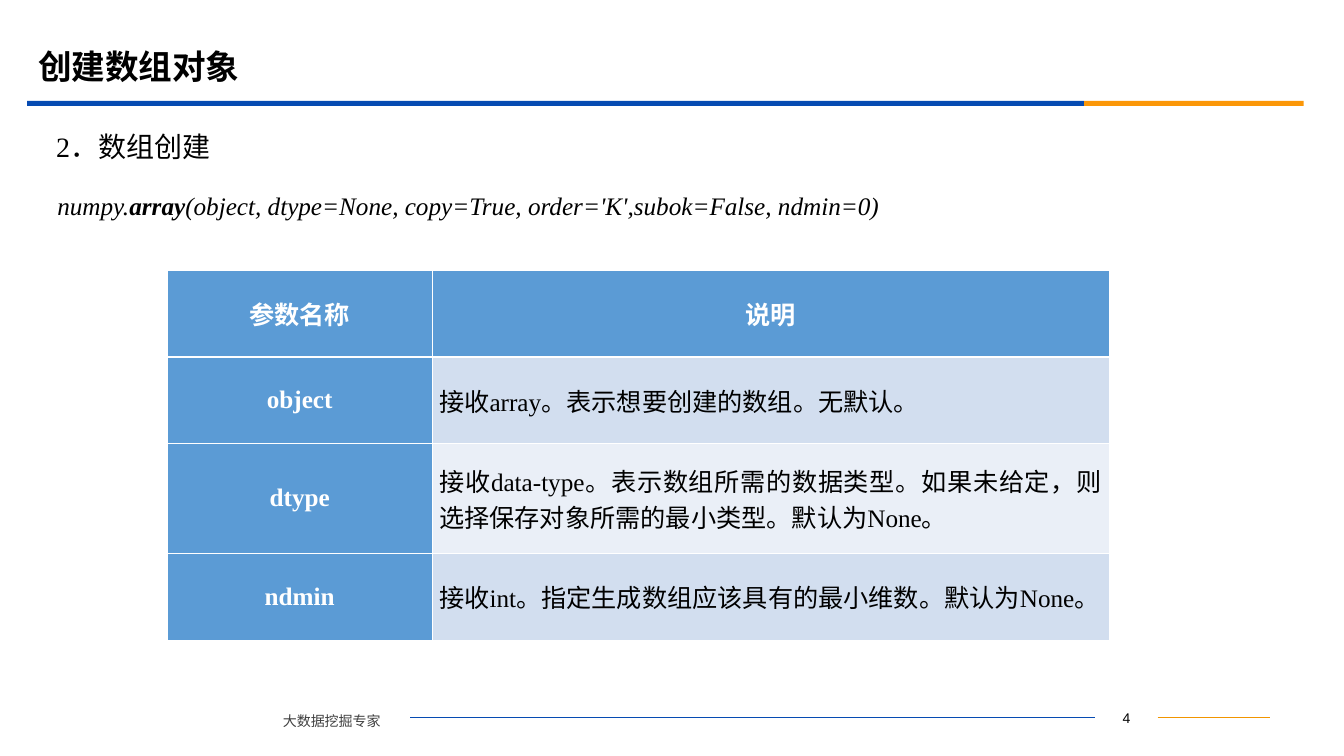
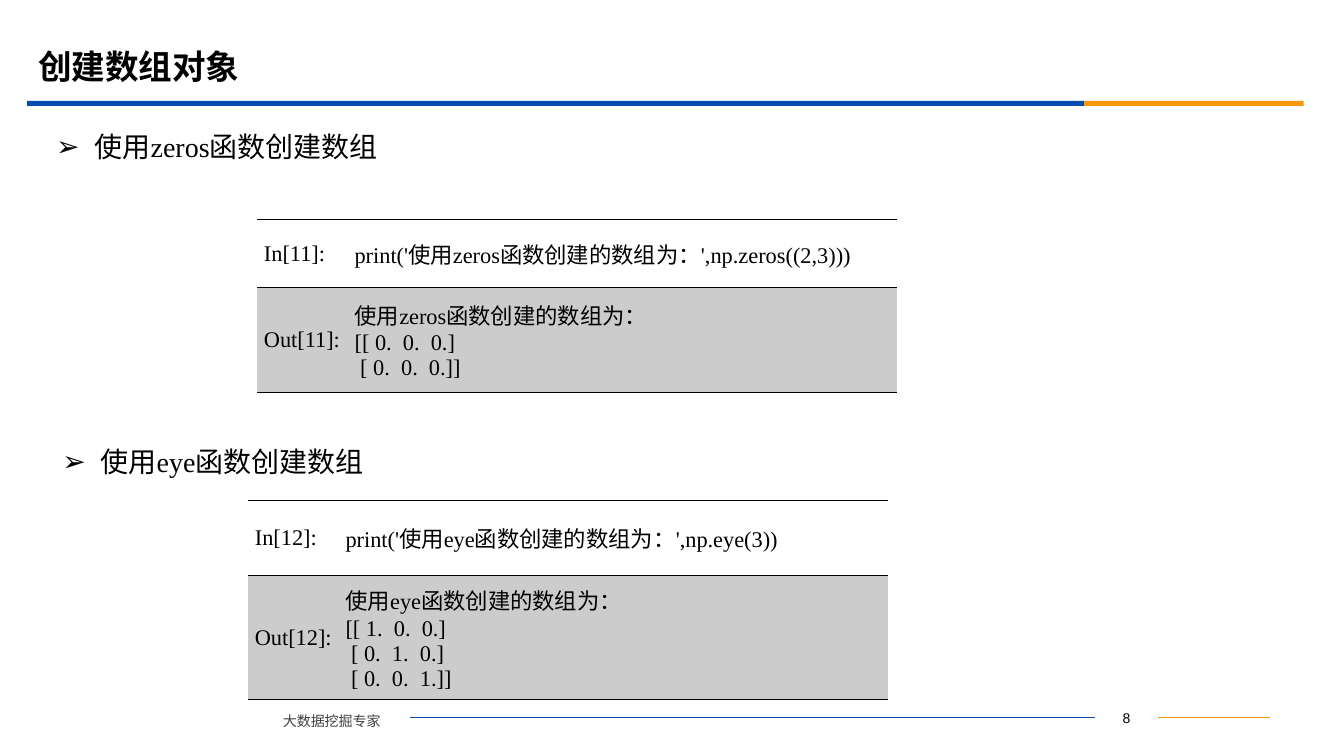
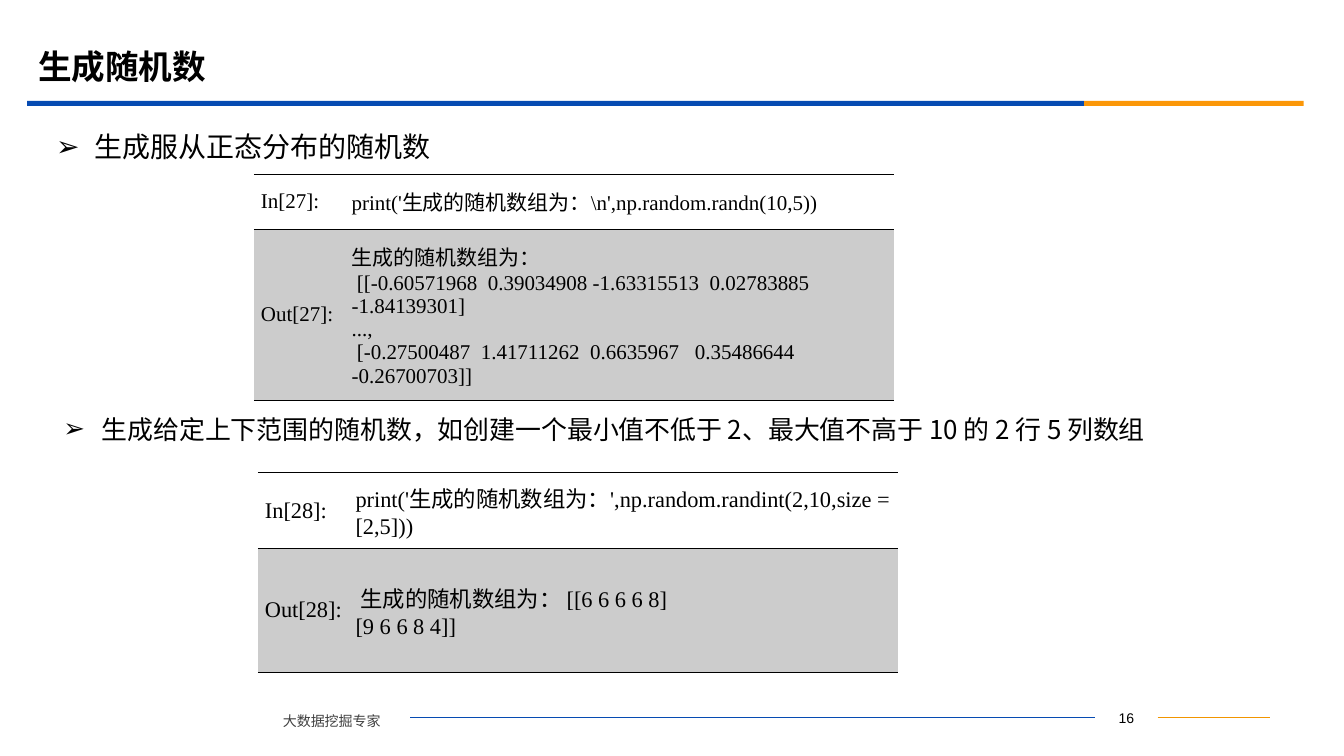
from lxml import etree
from pptx import Presentation
from pptx.dml.color import RGBColor
from pptx.enum.shapes import MSO_CONNECTOR, MSO_SHAPE
from pptx.enum.text import MSO_ANCHOR, PP_ALIGN
from pptx.oxml.ns import qn
from pptx.util import Inches, Pt

# Enum members
STRAIGHT = MSO_CONNECTOR.STRAIGHT
RECTANGLE = MSO_SHAPE.RECTANGLE
TOP, MIDDLE = MSO_ANCHOR.TOP, MSO_ANCHOR.MIDDLE
LEFT, CENTER, JUSTIFY = PP_ALIGN.LEFT, PP_ALIGN.CENTER, PP_ALIGN.JUSTIFY

# Colours
BLACK = RGBColor(0x00, 0x00, 0x00)
WHITE = RGBColor(0xFF, 0xFF, 0xFF)
DARK_GREY = RGBColor(0x40, 0x40, 0x40)
OUTPUT_GREY = RGBColor(0xCC, 0xCC, 0xCC)
BAND_BLUE = RGBColor(0x06, 0x4B, 0xB2)
BAND_ORANGE = RGBColor(0xFB, 0x97, 0x08)
LINE_ORANGE = RGBColor(0xF1, 0x95, 0x00)
HEADER_BLUE = RGBColor(0x5B, 0x9B, 0xD5)
ROW_TINTS = (RGBColor(0xD2, 0xDE, 0xEF), RGBColor(0xEA, 0xEF, 0xF7))

# Fonts
SERIF = "Times New Roman"
CJK = "Noto Sans CJK SC"
TITLE_SANS = "Montserrat"
PLAIN_SANS = "Arial"


# Text
def format_font(run, size, color=BLACK, name=SERIF, bold=False, italic=False):
    font = run.font
    font.size, font.name = Pt(size), name
    font.bold, font.italic = bold, italic
    font.color.rgb = color
    east_asian = etree.Element(qn("a:ea"), typeface=CJK)
    run._r.rPr.find(qn("a:latin")).addnext(east_asian)


def format_paragraphs(frame, align=LEFT, spacing=1.0, **font):
    for paragraph in frame.paragraphs:
        paragraph.alignment = align
        paragraph.line_spacing = spacing
        for run in paragraph.runs:
            format_font(run, **font)


def add_text(slide, box, text, anchor=MIDDLE, **style):
    label = slide.shapes.add_textbox(*map(Inches, box))
    frame = label.text_frame
    frame.word_wrap = True
    frame.vertical_anchor = anchor
    frame.text = text
    format_paragraphs(frame, **style)
    return label


def add_heading(slide, left, top, text, bullet=True, size=20, spacing=0.9, name=SERIF):
    heading = add_text(slide, (left, top, 12.15, 0.47), text,
                       size=size, spacing=spacing, name=name)
    if bullet:
        properties = heading.text_frame.paragraphs[0]._p.get_or_add_pPr()
        properties.set("marL", str(Inches(0.38)))
        properties.set("indent", str(-Inches(0.38)))
        etree.SubElement(properties, qn("a:buFont"), typeface=PLAIN_SANS)
        etree.SubElement(properties, qn("a:buChar"), char="➢")


# Bands and footer
def add_band(slide, left, width, color):
    band = slide.shapes.add_shape(RECTANGLE, Inches(left), Inches(1),
                                  Inches(width), Inches(0.05))
    band.shadow.inherit = False
    band.fill.solid()
    band.fill.fore_color.rgb = color
    band.line.fill.background()


def add_footer_line(slide, left, right, color, width, start, end=None):
    y = Inches(7.12)
    rule = slide.shapes.add_connector(STRAIGHT, Inches(left), y, Inches(right), y)
    rule.begin_connect(start, 3)
    if end is not None:
        rule.end_connect(end, 1)
    else:
        rule.end_y = rule.begin_y
    rule.line.color.rgb = color
    rule.line.width = Pt(width)
    etree.SubElement(rule._element.spPr, qn("a:effectLst"))


def add_content_slide(prs, title, number, title_font=SERIF):
    slide = prs.slides.add_slide(prs.slide_layouts[6])
    add_band(slide, 0.27, 10.49, BAND_BLUE)
    add_band(slide, 10.76, 2.18, BAND_ORANGE)
    add_text(slide, (0.28, 0.39, 12, 0.58), title, spacing=0.9,
             size=24, name=title_font, bold=True)
    footer = add_text(slide, (2.71, 6.94, 1.36, 0.35), "大数据挖掘专家", anchor=TOP,
                      spacing=1.5, size=10, name=CJK, color=DARK_GREY)
    page = add_text(slide, (10.87, 6.99, 0.62, 0.25), str(number), anchor=TOP,
                    align=CENTER, size=10, name=PLAIN_SANS)
    add_footer_line(slide, 4.07, 10.87, BAND_BLUE, 0.5, footer, page)
    add_footer_line(slide, 11.49, 12.61, LINE_ORANGE, 0.75, page)
    return slide


# Tables
def set_borders(cell, color, widths):
    """Widths are in points for left, right, top and bottom; 0 hides a side."""
    properties = cell._tc.get_or_add_tcPr()
    for index, (side, width) in enumerate(zip("LRTB", widths)):
        border = etree.Element(qn(f"a:ln{side}"), w=str(Pt(width)))
        if width:
            fill = etree.SubElement(border, qn("a:solidFill"))
            etree.SubElement(fill, qn("a:srgbClr"), val=str(color))
        else:
            etree.SubElement(border, qn("a:noFill"))
        properties.insert(index, border)


def add_plain_table(slide, left, top, column_widths, row_heights):
    frame = slide.shapes.add_table(
        len(row_heights), len(column_widths), Inches(left), Inches(top),
        Inches(sum(column_widths)), Inches(sum(row_heights)))
    table = frame.table
    table.first_row = table.horz_banding = False
    for column, width in zip(table.columns, column_widths):
        column.width = Inches(width)
    for row, height in zip(table.rows, row_heights):
        row.height = Inches(height)
    return table


def fill_cell(cell, text, fill, right_margin=0.07, **style):
    cell.margin_left, cell.margin_right = Inches(0.07), Inches(right_margin)
    cell.margin_top = cell.margin_bottom = Inches(0.05)
    cell.vertical_anchor = MIDDLE
    cell.text_frame.text = text
    format_paragraphs(cell.text_frame, **style)
    if fill is None:
        cell.fill.background()
    else:
        cell.fill.solid()
        cell.fill.fore_color.rgb = fill


def add_parameter_table(slide, rows):
    table = add_plain_table(slide, 1.66, 2.68, (2.63, 6.72), (0.86, 0.86, 1.09, 0.86))
    for r, row in enumerate(rows):
        for c, text in enumerate(row):
            cell = table.cell(r, c)
            if r == 0 or c == 0:
                fill_cell(cell, text, HEADER_BLUE, align=CENTER,
                          size=18, color=WHITE, bold=True)
            else:
                fill_cell(cell, text, ROW_TINTS[(r - 1) % 2], align=JUSTIFY, size=18)
            above = 1.47 if r == 1 else 0.45
            below = 1.47 if r == 0 else 0.45
            set_borders(cell, WHITE, (0.45, 0.45, above, below))


def add_code_block(slide, left, top, heights, number, code, output, size=16):
    table = add_plain_table(slide, left, top, (0.9, 5.45), heights)
    rows = ((f"In[{number}]:", code, None), (f"Out[{number}]:", output, OUTPUT_GREY))
    for r, (prompt, content, fill) in enumerate(rows):
        # The prompt needs the full column width to stay on one line
        for c, (text, right_margin) in enumerate(((prompt, 0), (content, 0.07))):
            cell = table.cell(r, c)
            fill_cell(cell, text, fill, right_margin, size=size)
            set_borders(cell, BLACK, (0, 0, 0.45, 0.45))


# Slides
def build_array_slide(prs):
    slide = add_content_slide(prs, "创建数组对象", 4)
    add_heading(slide, 0.46, 1.24, "2．数组创建", bullet=False)
    signature = add_text(slide, (0.47, 1.84, 10.22, 0.4), "numpy.", anchor=TOP,
                         size=18, italic=True)
    paragraph = signature.text_frame.paragraphs[0]
    for text, bold in (
            ("array", True),
            ("(object, dtype=None, copy=True, order='K',subok=False, ndmin=0)", False)):
        run = paragraph.add_run()
        run.text = text
        format_font(run, 18, bold=bold, italic=True)
    add_parameter_table(slide, (
        ("参数名称", "说明"),
        ("object", "接收array。表示想要创建的数组。无默认。"),
        ("dtype", "接收data-type。表示数组所需的数据类型。如果未给定，"
                  "则选择保存对象所需的最小类型。默认为None。"),
        ("ndmin", "接收int。指定生成数组应该具有的最小维数。默认为None。"),
    ))


def build_zeros_eye_slide(prs):
    slide = add_content_slide(prs, "创建数组对象", 8)
    add_heading(slide, 0.46, 1.24, "使用zeros函数创建数组")
    add_code_block(slide, 2.55, 2.18, (0.67, 1.04), 11,
                   "print('使用zeros函数创建的数组为：',np.zeros((2,3)))",
                   "使用zeros函数创建的数组为：\n[[ 0.  0.  0.]\n [ 0.  0.  0.]]")
    add_heading(slide, 0.52, 4.36, "使用eye函数创建数组")
    add_code_block(slide, 2.46, 4.96, (0.75, 1.23), 12,
                   "print('使用eye函数创建的数组为：',np.eye(3))",
                   "使用eye函数创建的数组为：\n"
                   "[[ 1.  0.  0.]\n [ 0.  1.  0.]\n [ 0.  0.  1.]]")


def build_random_slide(prs):
    slide = add_content_slide(prs, "生成随机数", 16, TITLE_SANS)
    add_heading(slide, 0.46, 1.24, "生成服从正态分布的随机数", name=CJK)
    add_code_block(slide, 2.52, 1.73, (0.54, 1.7), 27,
                   r"print('生成的随机数组为：\n',np.random.randn(10,5))",
                   "生成的随机数组为：\n"
                   " [[-0.60571968  0.39034908 -1.63315513  0.02783885 -1.84139301]\n"
                   "...,\n"
                   " [-0.27500487  1.41711262  0.6635967   0.35486644 -0.26700703]]",
                   size=15)
    add_heading(slide, 0.53, 4.05,
                "生成给定上下范围的随机数，如创建一个最小值不低于 2、"
                "最大值不高于 10 的 2 行 5 列数组",
                size=18.5, spacing=0.8, name=CJK)
    add_code_block(slide, 2.56, 4.69, (0.75, 1.23), 28,
                   "print('生成的随机数组为：',np.random.randint(2,10,size = [2,5]))",
                   " 生成的随机数组为： [[6 6 6 6 8]\n[9 6 6 8 4]]")


def main():
    prs = Presentation()
    prs.slide_width, prs.slide_height = Inches(13.34), Inches(7.5)
    build_array_slide(prs)
    build_zeros_eye_slide(prs)
    build_random_slide(prs)
    prs.save("out.pptx")


if __name__ == "__main__":
    main()
